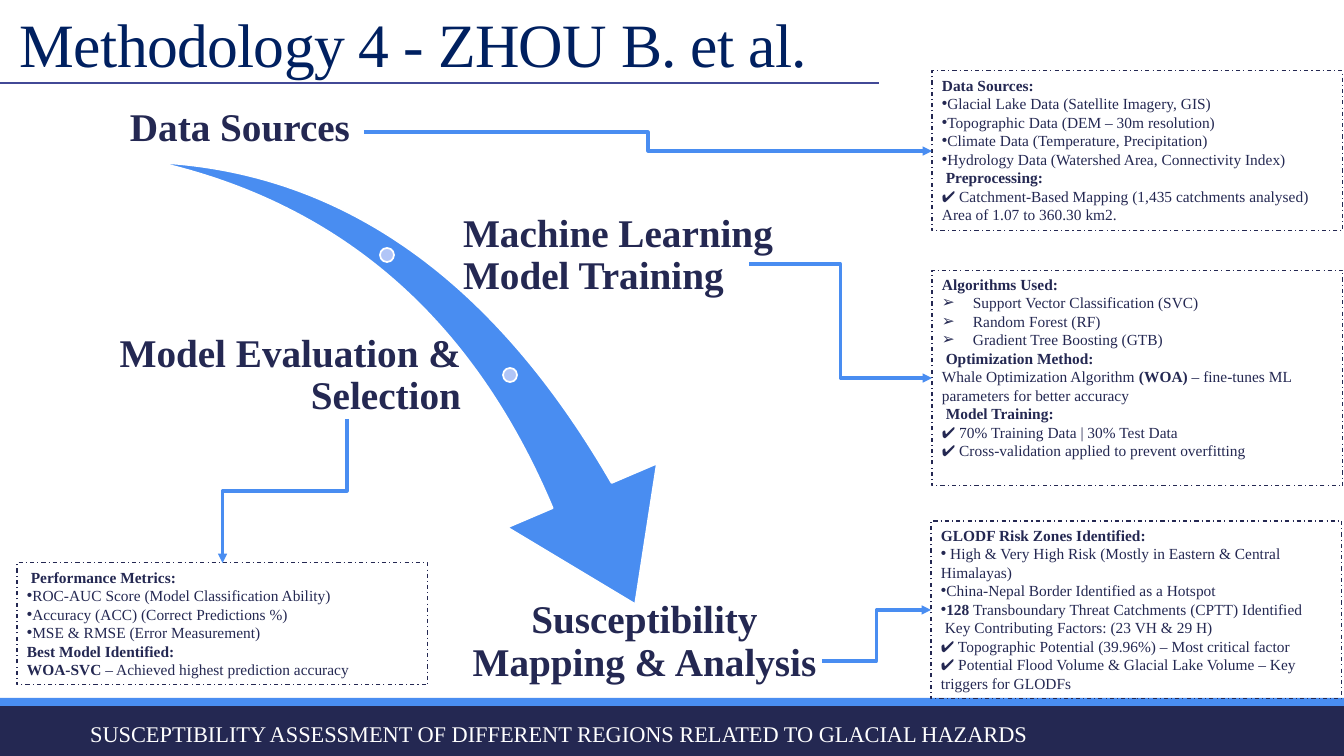
import copy

import pptx
import pptx.dml.color
import pptx.enum.dml
import pptx.enum.shapes
import pptx.enum.text
import pptx.oxml
import pptx.oxml.ns
import pptx.util

PX = 914400 / 100.8
NAVY, BLUE, PALE, WHITE = "242852", "498DF1", "B1C5F7", "FFFFFF"
SHAPE = pptx.enum.shapes.MSO_SHAPE
LINK = pptx.enum.shapes.MSO_CONNECTOR
ALIGN = pptx.enum.text.PP_ALIGN
ANCHOR = pptx.enum.text.MSO_ANCHOR


def px(n):
    return pptx.util.Emu(round(n * PX))


def rgb(value):
    return pptx.dml.color.RGBColor.from_string(value)


def add_xml(parent, tag, **attrs):
    el = pptx.oxml.ns.qn(tag)
    child = parent.makeelement(el, attrs)
    parent.append(child)
    return child


def write(tf, paragraphs, size=11, color=NAVY, bold=False, align=ALIGN.LEFT,
          anchor=ANCHOR.TOP, spacing=None, inset=None, track=None):
    """Fill a frame; ** toggles bold, a leading • or ➢ becomes a bullet."""
    tf.word_wrap = True
    tf.vertical_anchor = anchor
    if inset is not None:
        tf.margin_left = tf.margin_right = px(inset)
        tf.margin_top = tf.margin_bottom = px(inset)
    for i, text in enumerate(paragraphs):
        p = tf.paragraphs[0] if i == 0 else tf.add_paragraph()
        p.alignment = align
        if spacing:
            p.line_spacing = spacing
        if text[0] in "•➢":
            indent = px(31) if text[0] == "➢" else 0
            pPr = p._p.get_or_add_pPr()
            pPr.set("marL", str(indent))
            pPr.set("indent", str(-indent))
            add_xml(pPr, "a:buFont", typeface="Arial")
            add_xml(pPr, "a:buChar", char=text[0])
            text = text[1:]
        for j, part in enumerate(text.split("**")):
            for k, piece in enumerate(part.split("\n")):
                if k:
                    p.add_line_break()
                    p._p[-1].append(copy.deepcopy(r._r.rPr))
                if not piece:
                    continue
                r = p.add_run()
                r.text = piece
                r.font.name = "Times New Roman"
                r.font.size = pptx.util.Pt(size)
                r.font.color.rgb = rgb(color)
                r.font.bold = bold or j % 2 == 1
                if track:
                    r._r.get_or_add_rPr().set("spc", str(track))


class Board:
    def __init__(self, slide):
        self.s = slide

    def shape(self, kind, x, y, w, h, fill=None, line=None, width=1.25):
        sp = self.s.shapes.add_shape(kind, px(x), px(y), px(w), px(h))
        sp.shadow.inherit = False
        if fill:
            sp.fill.solid()
            sp.fill.fore_color.rgb = rgb(fill)
        else:
            sp.fill.background()
        if line:
            sp.line.color.rgb = rgb(line)
            sp.line.width = pptx.util.Pt(width)
        else:
            sp.line.fill.background()
        return sp

    def text(self, x, y, w, h, text, **style):
        sp = self.s.shapes.add_textbox(px(x), px(y), px(w), px(h))
        write(sp.text_frame, [text], **style)

    def heading(self, x, y, w, text, **style):
        self.text(x, y, w, 104, text, size=28, bold=True, spacing=0.9,
                  inset=4, **style)

    def detail(self, x, y, h, paragraphs):
        sp = self.shape(SHAPE.RECTANGLE, x, y, 411, h, line=NAVY, width=0.75)
        sp.line.dash_style = pptx.enum.dml.MSO_LINE.DASH_DOT
        write(sp.text_frame, paragraphs)
        return sp

    def line(self, kind, x1, y1, x2, y2, color, width):
        cn = self.s.shapes.add_connector(kind, px(x1), px(y1), px(x2), px(y2))
        cn.line.color.rgb = rgb(color)
        cn.line.width = pptx.util.Pt(width)
        add_xml(cn._element.spPr, "a:effectLst")
        return cn

    def elbow(self, x, y, box, side):
        """Bent arrow from a point to the left (1) or top (0) of a box."""
        cn = self.line(LINK.ELBOW, x, y, x + 50, y + 50, BLUE, 2.25)
        cn.end_connect(box, side)
        add_xml(cn.line._get_or_add_ln(), "a:tailEnd", type="triangle")
        if side == 0:  # leave downwards: turn the path by 90 degrees
            cx = (cn.begin_x + cn.end_x) // 2
            cy = (cn.begin_y + cn.end_y) // 2
            w, h = cn.height, cn.width
            cn.left, cn.top, cn.width, cn.height = cx - w // 2, cy - h // 2, w, h
            xfrm = cn._element.spPr.xfrm
            xfrm.attrib.pop("flipH", None)
            xfrm.set("rot", str(90 * 60000))


def main():
    prs = pptx.Presentation()
    prs.slide_width, prs.slide_height = px(1344), px(756)
    board = Board(prs.slides.add_slide(prs.slide_layouts[6]))

    # Footer bands
    board.shape(SHAPE.RECTANGLE, 0, 706, 1344, 50, fill=NAVY)
    board.shape(SHAPE.RECTANGLE, 0, 698, 1344, 8, fill=BLUE)

    # Sweeping arrow with its two milestones
    arrow = board.shape(SHAPE.SWOOSH_ARROW, 146, 179, 560, 391, BLUE, WHITE)
    arrow.adjustments[0], arrow.adjustments[1] = 0.163, 0.314
    arrow.rotation = 73.3
    for x, y in ((380, 248), (503, 368)):
        board.shape(SHAPE.OVAL, x, y, 14, 14, PALE, WHITE)

    # Stage headings
    board.heading(108, 50, 264, "Data Sources", align=ALIGN.CENTER,
                  anchor=ANCHOR.BOTTOM)
    board.heading(459, 204, 365, "Machine Learning Model Training",
                  anchor=ANCHOR.MIDDLE)
    board.heading(108, 324, 357, "Model Evaluation & Selection",
                  align=ALIGN.RIGHT, anchor=ANCHOR.MIDDLE)
    board.heading(466, 596, 357, "Susceptibility Mapping & Analysis",
                  align=ALIGN.CENTER)

    # Detail boxes
    sources = board.detail(932, 71, 160, [
        "**Data Sources:**",
        "•Glacial Lake Data (Satellite Imagery, GIS)",
        "•Topographic Data (DEM – 30m resolution)",
        "•Climate Data (Temperature, Precipitation)",
        "•Hydrology Data (Watershed Area, Connectivity Index)",
        "** Preprocessing:\n**✔ Catchment-Based Mapping (1,435 catchments analysed)",
        "Area of 1.07 to 360.30 km2."])
    training = board.detail(932, 270, 216, [
        "**Algorithms Used:**",
        "➢Support Vector Classification (SVC)",
        "➢Random Forest (RF)",
        "➢Gradient Tree Boosting (GTB)",
        " **Optimization Method:\n**Whale Optimization Algorithm **(WOA)**"
        " – fine-tunes ML parameters for better accuracy",
        " **Model Training:\n**✔ 70% Training Data | 30% Test Data\n"
        "✔ Cross-validation applied to prevent overfitting"])
    metrics = board.detail(17, 563, 122, [
        " **Performance Metrics:**",
        "•ROC-AUC Score (Model Classification Ability)",
        "•Accuracy (ACC) (Correct Predictions %)",
        "•MSE & RMSE (Error Measurement)",
        "**Best Model Identified:\nWOA-SVC** – Achieved highest prediction accuracy"])
    zones = board.detail(931, 521, 178, [
        "**GLODF Risk Zones Identified:**",
        "• High & Very High Risk (Mostly in Eastern & Central Himalayas)",
        "•China-Nepal Border Identified as a Hotspot",
        "•**128** Transboundary Threat Catchments (CPTT) Identified",
        " Key Contributing Factors: (23 VH & 29 H)\n"
        "✔ Topographic Potential (39.96%) – Most critical factor\n"
        "✔ Potential Flood Volume & Glacial Lake Volume – Key triggers for GLODFs"])

    # Arrows from headings to boxes
    board.elbow(364, 132, sources, 1)
    board.elbow(749, 264, training, 1)
    board.elbow(347, 419, metrics, 0)
    board.elbow(822, 661, zones, 1)

    # Title, rule and footer text
    board.text(10, 12, 932, 84, "Methodology 4 - ZHOU B. et al.", size=44,
               color="002060", spacing=0.85, track=-50)
    board.line(LINK.STRAIGHT, 0, 83, 879, 83, "424996", 1.5)
    board.text(45, 712, 1028, 44,
               "SUSCEPTIBILITY ASSESSMENT OF DIFFERENT REGIONS RELATED TO GLACIAL HAZARDS",
               size=16, color=WHITE, align=ALIGN.CENTER, anchor=ANCHOR.MIDDLE)

    prs.save("out.pptx")


if __name__ == "__main__":
    main()
